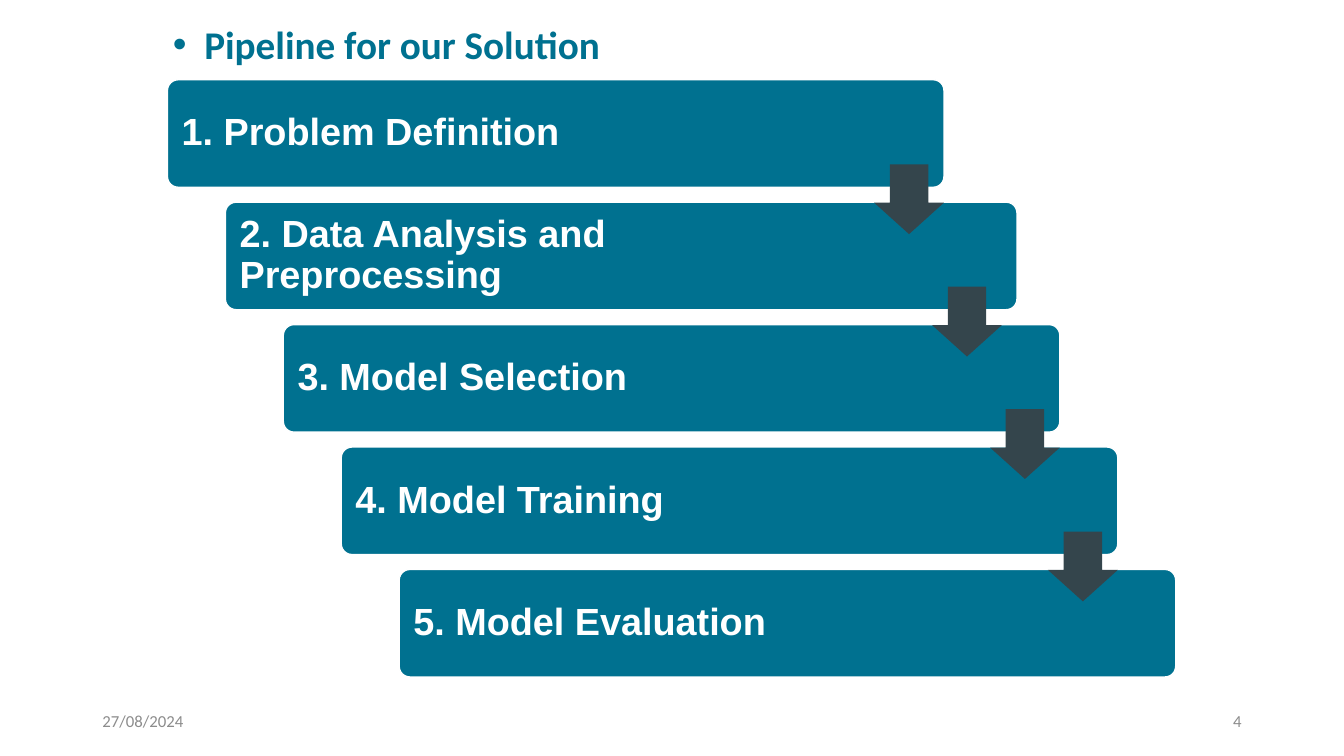
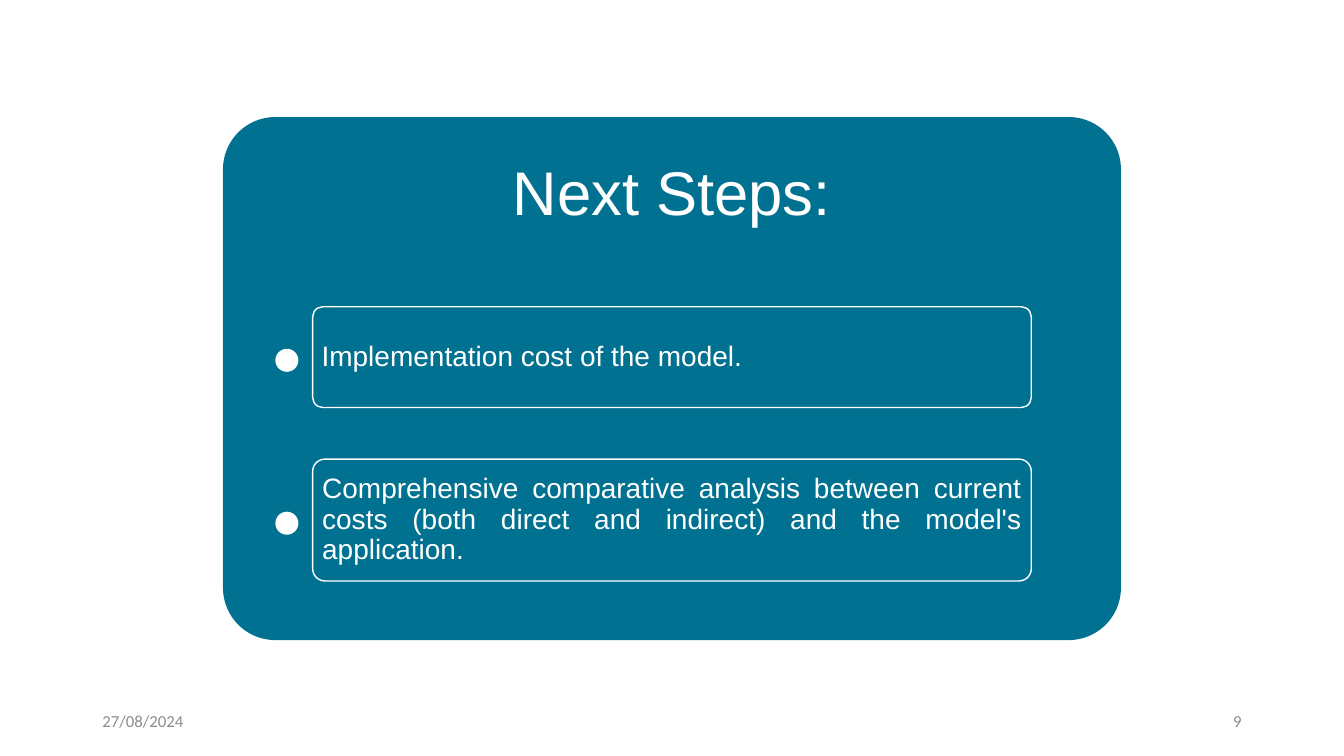
from dataclasses import dataclass
from typing import NamedTuple

from lxml import etree
from pptx import Presentation
from pptx.dml.color import RGBColor
from pptx.enum.shapes import MSO_SHAPE
from pptx.enum.text import MSO_ANCHOR, PP_ALIGN
from pptx.oxml.ns import qn
from pptx.util import Cm, Pt

ROUNDED = MSO_SHAPE.ROUNDED_RECTANGLE
DOWN_ARROW = MSO_SHAPE.DOWN_ARROW
OVAL = MSO_SHAPE.OVAL
MIDDLE = MSO_ANCHOR.MIDDLE
TOP = MSO_ANCHOR.TOP
LEFT = PP_ALIGN.LEFT
RIGHT = PP_ALIGN.RIGHT
CENTER = PP_ALIGN.CENTER
JUSTIFY = PP_ALIGN.JUSTIFY


@dataclass(frozen=True)
class Theme:
    teal: str = "007190"
    slate: str = "34454C"
    white: str = "FFFFFF"
    gray: str = "8C8C8C"
    body_font: str = "Arial"
    label_font: str = "Calibri"
    footer_size: int = 12
    item_size: int = 20
    step_size: int = 27
    heading_size: int = 28
    title_size: int = 44
    line_spacing: float = 0.9
    outline: int = 1


class Box(NamedTuple):
    left: float
    top: float
    width: float
    height: float

    def inner(self, left, top, width, height):
        return Box(self.left + left, self.top + top, width, height)

    def lengths(self):
        return [Cm(value) for value in self]


THEME = Theme()
SLIDE_WIDTH, SLIDE_HEIGHT = 33.87, 19.05
DATE = "27/08/2024"
STEPS = [
    "1. Problem Definition",
    "2. Data Analysis and Preprocessing",
    "3. Model Selection",
    "4. Model Training",
    "5. Model Evaluation",
]
NEXT_STEPS = [
    (4.78, 2.54, "Implementation cost of the model."),
    (8.62, 3.07, "Comprehensive comparative analysis between current costs "
                 "(both direct and indirect) and the model's application."),
]


def write_text(shape, text, *, size, color, font=THEME.body_font, bold=False,
               align=LEFT, anchor=MIDDLE, spacing=1.0,
               insets=(0.25, 0.13, 0.25, 0.13)):
    frame = shape.text_frame
    frame.word_wrap = True
    frame.vertical_anchor = anchor
    (frame.margin_left, frame.margin_top,
     frame.margin_right, frame.margin_bottom) = [Cm(inset) for inset in insets]
    paragraph = frame.paragraphs[0]
    paragraph.alignment = align
    paragraph.line_spacing = spacing
    run = paragraph.add_run()
    run.text = text
    run.font.name = font
    run.font.size = Pt(size)
    run.font.bold = bold
    run.font.color.rgb = RGBColor.from_string(color)
    return paragraph


def add_text(slide, box, text, **text_format):
    return write_text(slide.shapes.add_textbox(*box.lengths()), text, **text_format)


def add_figure(slide, kind, box, fill, line=None, adjustments=()):
    shape = slide.shapes.add_shape(kind, *box.lengths())
    shape.shadow.inherit = False
    shape.fill.solid()
    shape.fill.fore_color.rgb = RGBColor.from_string(fill)
    if line:
        shape.line.color.rgb = RGBColor.from_string(line)
        shape.line.width = Pt(THEME.outline)
    else:
        shape.line.fill.background()
    for index, value in enumerate(adjustments):
        shape.adjustments[index] = value
    return shape


def add_bullet(paragraph, indent):
    properties = paragraph._p.get_or_add_pPr()
    properties.set("marL", str(Cm(indent)))
    properties.set("indent", str(-Cm(indent)))
    font = etree.SubElement(properties, qn("a:buFont"))
    font.set("typeface", THEME.body_font)
    etree.SubElement(properties, qn("a:buChar")).set("char", "•")


def add_footer(slide, box, number):
    width = 7.62
    style = dict(size=THEME.footer_size, color=THEME.gray, font=THEME.label_font)
    add_text(slide, box.inner(0, 0, width, box.height), DATE, **style)
    add_text(slide, box.inner(box.width - width, 0, width, box.height),
             str(number), align=RIGHT, **style)


def add_heading(slide, box, text):
    paragraph = add_text(slide, box, text, size=THEME.heading_size, bold=True,
                         color=THEME.teal, font=THEME.label_font, anchor=TOP)
    add_bullet(paragraph, 0.79)


def add_staircase(slide, box, steps):
    step_height, arrow_size, arrow_drop = 2.71, 1.76, 2.13
    shift = 1.46
    last = len(steps) - 1
    step_width = box.width - last * shift
    pitch = (box.height - step_height) / last
    places = [box.inner(index * shift, index * pitch, step_width, step_height)
              for index in range(len(steps))]
    for index, (place, text) in enumerate(zip(places, steps)):
        if index == 1:
            place = place._replace(width=step_width + 0.38)
        shape = add_figure(slide, ROUNDED, place, THEME.teal, THEME.white, [0.1])
        write_text(shape, text, size=THEME.step_size, color=THEME.white, bold=True,
                   spacing=THEME.line_spacing, insets=(0.28, 0.28, 3.8, 0.28))
    for place in places[:-1]:
        arrow = place.inner(step_width - arrow_size, arrow_drop, arrow_size, arrow_size)
        add_figure(slide, DOWN_ARROW, arrow, THEME.slate, adjustments=[0.55, 0.45])


def add_panel(slide, box, title, items):
    side, dot_left, dot_size, dot_drop = 2.26, 1.32, 0.58, 0.08
    add_figure(slide, ROUNDED, box, THEME.teal, adjustments=[0.1])
    add_text(slide, box.inner(0, 0, box.width, box.height * 0.3), title,
             size=THEME.title_size, color=THEME.white, align=CENTER,
             spacing=THEME.line_spacing, insets=(0.46,) * 4)
    for top, height, text in items:
        place = box.inner(side, top, box.width - 2 * side, height)
        shape = add_figure(slide, ROUNDED, place, THEME.teal, THEME.white, [0.1])
        write_text(shape, text, size=THEME.item_size, color=THEME.white,
                   align=JUSTIFY, spacing=THEME.line_spacing,
                   insets=(0.15, 0.1, 0.15, 0.1))
        dot_top = top + (height - dot_size) / 2 + dot_drop
        add_figure(slide, OVAL, box.inner(dot_left, dot_top, dot_size, dot_size),
                   THEME.white)


def add_slide(presentation, number):
    slide = presentation.slides.add_slide(presentation.slide_layouts[6])
    add_footer(slide, Box(2.33, 17.65, 29.21, 1.02), number)
    return slide


def add_pipeline_slide(presentation):
    slide = add_slide(presentation, 4)
    add_staircase(slide, Box(4.22, 2.01, 25.41, 15.05), STEPS)
    add_heading(slide, Box(4.11, 0.38, 11.66, 1.45), "Pipeline for our Solution")


def add_next_steps_slide(presentation):
    slide = add_slide(presentation, 9)
    add_panel(slide, Box(5.62, 2.95, 22.63, 13.18), "Next Steps:", NEXT_STEPS)


def main():
    presentation = Presentation()
    presentation.slide_width = Cm(SLIDE_WIDTH)
    presentation.slide_height = Cm(SLIDE_HEIGHT)
    add_pipeline_slide(presentation)
    add_next_steps_slide(presentation)
    presentation.save("out.pptx")


if __name__ == "__main__":
    main()
